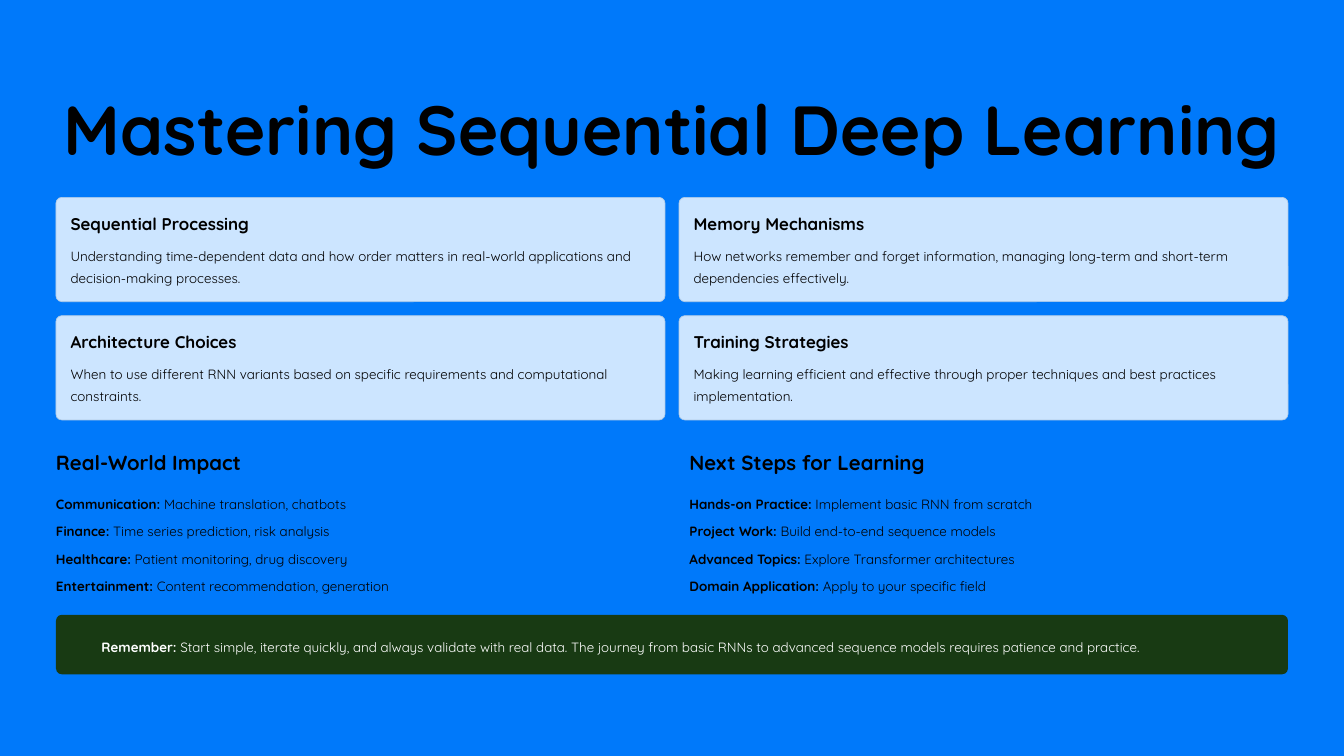
from dataclasses import dataclass

from pptx import Presentation
from pptx.dml.color import RGBColor
from pptx.enum.shapes import MSO_SHAPE
from pptx.enum.text import PP_ALIGN
from pptx.util import Pt


@dataclass(frozen=True)
class Theme:
    font: str = "Quicksand"
    background: str = "0079FA"
    ink: str = "000000"
    card: str = "CCE5FF"
    card_line: str = "B2CBE5"
    banner: str = "183A13"
    banner_ink: str = "FFFFFF"
    title_size: float = 59.5
    section_size: float = 17.5
    card_size: float = 14.5
    body_size: float = 11.5
    body_line: float = 19


@dataclass(frozen=True)
class Box:
    left: float
    top: float
    width: float
    height: float

    def region(self, left, top, width, height):
        return Box(self.left + left, self.top + top, width, height)

    def lengths(self):
        return Pt(self.left), Pt(self.top), Pt(self.width), Pt(self.height)


THEME = Theme()
CORNER_RADIUS = 5

TITLE = "Mastering Sequential Deep Learning"
CARDS = [
    ("Sequential Processing",
     "Understanding time-dependent data and how order matters in real-world "
     "applications and decision-making processes."),
    ("Memory Mechanisms",
     "How networks remember and forget information, managing long-term and "
     "short-term dependencies effectively."),
    ("Architecture Choices",
     "When to use different RNN variants based on specific requirements and "
     "computational constraints."),
    ("Training Strategies",
     "Making learning efficient and effective through proper techniques and "
     "best practices implementation."),
]
SECTIONS = [
    ("Real-World Impact", [
        ("Communication:", " Machine translation, chatbots"),
        ("Finance:", " Time series prediction, risk analysis"),
        ("Healthcare:", " Patient monitoring, drug discovery"),
        ("Entertainment:", " Content recommendation, generation"),
    ]),
    ("Next Steps for Learning", [
        ("Hands-on Practice:", " Implement basic RNN from scratch"),
        ("Project Work:", " Build end-to-end sequence models"),
        ("Advanced Topics:", " Explore Transformer architectures"),
        ("Domain Application:", " Apply to your specific field"),
    ]),
]
REMINDER = (
    "Remember:",
    " Start simple, iterate quickly, and always validate with real data. "
    "The journey from basic RNNs to advanced sequence models requires "
    "patience and practice.",
)


def add_text(slide, box, paragraphs, *, size=THEME.body_size, line=THEME.body_line,
             color=THEME.ink, align=PP_ALIGN.LEFT, gap=0):
    frame = slide.shapes.add_textbox(*box.lengths()).text_frame
    frame.word_wrap = True
    frame.margin_left = frame.margin_right = frame.margin_top = frame.margin_bottom = 0
    for index, (strong, plain) in enumerate(paragraphs):
        paragraph = frame.add_paragraph() if index else frame.paragraphs[0]
        paragraph.alignment = align
        paragraph.line_spacing = Pt(line)
        paragraph.space_before = Pt(gap if index else 0)
        for text, bold in ((strong, True), (plain, False)):
            if text:
                run = paragraph.add_run()
                run.text = text
                run.font.name = THEME.font
                run.font.size = Pt(size)
                run.font.bold = bold
                run.font.color.rgb = RGBColor.from_string(color)


def add_panel(slide, box, fill, line=None):
    shape = slide.shapes.add_shape(MSO_SHAPE.ROUNDED_RECTANGLE, *box.lengths())
    shape.adjustments[0] = CORNER_RADIUS / box.height
    shape.shadow.inherit = False
    shape.fill.solid()
    shape.fill.fore_color.rgb = RGBColor.from_string(fill)
    if line:
        shape.line.color.rgb = RGBColor.from_string(line)
        shape.line.width = Pt(0.6)
    else:
        shape.line.fill.background()


def add_title(slide, box):
    add_text(slide, box, [(TITLE, "")], size=THEME.title_size, line=74.5,
             align=PP_ALIGN.CENTER)


def add_card(slide, box, heading, body):
    inset = 12.5
    width = box.width - 2 * inset
    add_panel(slide, box, THEME.card, THEME.card_line)
    add_text(slide, box.region(inset, inset, width, 18.5), [(heading, "")],
             size=THEME.card_size, line=18.5)
    add_text(slide, box.region(inset, 38.2, width, 38), [("", body)])


def add_card_grid(slide, box, gap=12):
    width = (box.width - gap) / 2
    height = (box.height - gap) / 2
    for index, (heading, body) in enumerate(CARDS):
        row, column = divmod(index, 2)
        cell = box.region(column * (width + gap), row * (height + gap), width, height)
        add_card(slide, cell, heading, body)


def add_sections(slide, box, gap=30):
    width = (box.width - gap) / 2
    for index, (heading, entries) in enumerate(SECTIONS):
        left = index * (width + gap)
        add_text(slide, box.region(left, 0, width, 22), [(heading, "")],
                 size=THEME.section_size, line=22)
        add_text(slide, box.region(left, 34.6, width, box.height - 34.6), entries, gap=4.5)


def add_banner(slide, box):
    add_panel(slide, box, THEME.banner)
    add_text(slide, box.region(39, 15.3, box.width - 51, 19), [REMINDER],
             color=THEME.banner_ink)


def main():
    presentation = Presentation()
    presentation.slide_width = Pt(1152)
    presentation.slide_height = Pt(648)
    slide = presentation.slides.add_slide(presentation.slide_layouts[6])
    slide.background.fill.solid()
    slide.background.fill.fore_color.rgb = RGBColor.from_string(THEME.background)

    content = Box(48, 0, 1056, 648)
    add_title(slide, content.region(0, 70.5, content.width, 75))
    add_card_grid(slide, content.region(0, 169.2, content.width, 190.8))
    add_sections(slide, content.region(0, 385.2, content.width, 124.2))
    add_banner(slide, content.region(0, 527, content.width, 51))
    presentation.save("out.pptx")


if __name__ == "__main__":
    main()
